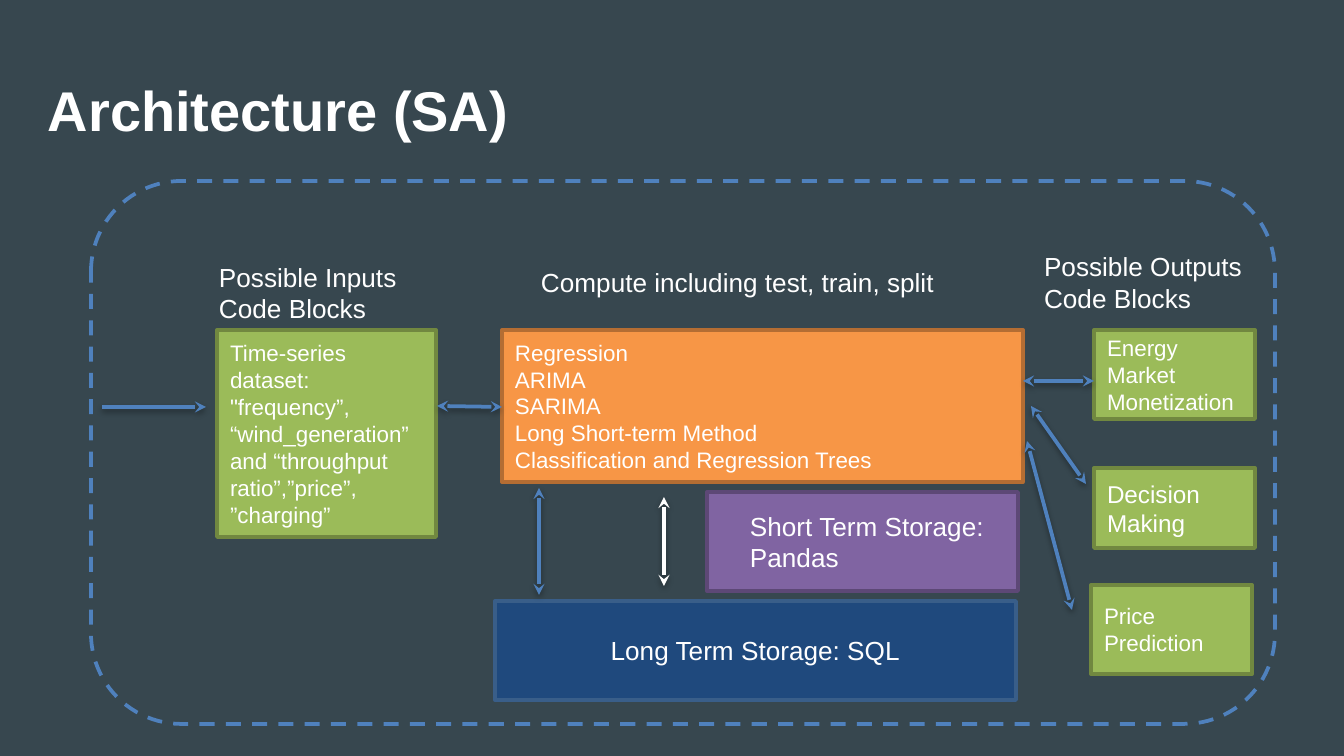
from lxml import etree
from pptx import Presentation
from pptx.dml.color import RGBColor
from pptx.enum.dml import MSO_LINE
from pptx.enum.shapes import MSO_CONNECTOR, MSO_SHAPE
from pptx.enum.text import MSO_ANCHOR, PP_ALIGN
from pptx.oxml.ns import qn
from pptx.util import Emu, Pt

RECT, ROUND = MSO_SHAPE.RECTANGLE, MSO_SHAPE.ROUNDED_RECTANGLE
STRAIGHT, DASH = MSO_CONNECTOR.STRAIGHT, MSO_LINE.DASH
TOP, MIDDLE = MSO_ANCHOR.TOP, MSO_ANCHOR.MIDDLE
LEFT, CENTER = PP_ALIGN.LEFT, PP_ALIGN.CENTER

FONT = "Arial"
SLATE, WHITE, BLUE = "37474F", "FFFFFF", "4F81BD"
GREEN = ("9BBB59", "718840")
ORANGE = ("F79646", "B46D33")
PURPLE = ("8064A2", "5D4876")
NAVY = ("1F497D", "395E89")


def px(n):
    return Emu(round(n * 914400 / 134.4))


def rgb(code):
    return RGBColor.from_string(code)


def stroke(line, color):
    line.color.rgb = rgb(color)
    line.width = Pt(2)


def write(shape, text, size, anchor=MIDDLE, align=LEFT, bold=False, inset=13):
    frame = shape.text_frame
    frame.word_wrap = True
    frame.vertical_anchor = anchor
    frame.margin_left = px(inset)
    frame.text = text
    for para in frame.paragraphs:
        para.alignment = align
        para.font.name = FONT
        para.font.size = Pt(size)
        para.font.bold = bold
        para.font.color.rgb = rgb(WHITE)


def label(slide, area, text, size, **style):
    write(slide.shapes.add_textbox(*map(px, area)), text, size, **style)


def block(slide, area, colors, text, size, **style):
    box = slide.shapes.add_shape(RECT, *map(px, area))
    box.shadow.inherit = False
    fill, edge = colors
    box.fill.solid()
    box.fill.fore_color.rgb = rgb(fill)
    stroke(box.line, edge)
    write(box, text, size, **style)


def frame(slide, area):
    box = slide.shapes.add_shape(ROUND, *map(px, area))
    box.shadow.inherit = False
    box.fill.background()
    stroke(box.line, BLUE)
    box.line.dash_style = DASH


def arrow(slide, ends, color=BLUE, both=True):
    link = slide.shapes.add_connector(STRAIGHT, *map(px, ends))
    stroke(link.line, color)
    props = link._element.spPr
    line = props.find(qn("a:ln"))
    for tip in ("a:headEnd", "a:tailEnd") if both else ("a:tailEnd",):
        etree.SubElement(line, qn(tip), type="stealth")
    # Soft shadow straight below the line
    effects = etree.SubElement(props, qn("a:effectLst"))
    shade = etree.SubElement(effects, qn("a:outerShdw"), blurRad="40000",
                             dist="20000", dir="5400000", rotWithShape="0")
    tint = etree.SubElement(shade, qn("a:srgbClr"), val="000000")
    etree.SubElement(tint, qn("a:alpha"), val="38000")


def main():
    deck = Presentation()
    deck.slide_width, deck.slide_height = px(1344), px(756)
    slide = deck.slides.add_slide(deck.slide_layouts[6])
    slide.background.fill.solid()
    slide.background.fill.fore_color.rgb = rgb(SLATE)

    # Title and system boundary
    frame(slide, (91, 181, 1184, 543))
    label(slide, (35, 60, 780, 98), "Architecture (SA)", 30, bold=True)

    # Column headings
    label(slide, (206, 245, 280, 95), "Possible Inputs\vCode Blocks", 14,
          anchor=MIDDLE)
    label(slide, (528, 260, 434, 46), "Compute including test, train, split",
          14, anchor=TOP)
    label(slide, (1031, 244, 228, 62), "Possible Outputs\vCode Blocks", 14,
          anchor=TOP)

    # Inputs
    block(slide, (217, 330, 219, 207), GREEN,
          'Time-series dataset: "frequency”, “wind_generation” and '
          "“throughput ratio”,”price”,\n”charging”", 12)

    # Compute and storage
    block(slide, (502, 330, 521, 152), ORANGE,
          "Regression\nARIMA\nSARIMA\nLong Short-term Method\n"
          "Classification and Regression Trees", 12)
    block(slide, (707, 492, 311, 99), PURPLE,
          "Short Term Storage:\nPandas", 14, inset=43)
    block(slide, (495, 601, 521, 99), NAVY, "Long Term Storage: SQL", 14,
          align=CENTER)

    # Outputs
    for left, top, high, text, size in (
            (1094, 330, 89, "Energy Market Monetization", 12),
            (1094, 468, 80, "Decision Making", 13),
            (1091, 585, 89, "Price Prediction", 12)):
        block(slide, (left, top, 161, high), GREEN, text, size)

    # Data flow
    arrow(slide, (102, 407, 206, 407), both=False)
    arrow(slide, (664, 497, 664, 586), color=WHITE)
    for ends in ((437, 406, 502, 407), (539, 488, 539, 595),
                 (1094, 381, 1023, 381), (1086, 484, 1031, 406),
                 (1072, 610, 1027, 441)):
        arrow(slide, ends)

    deck.save("out.pptx")


if __name__ == "__main__":
    main()
